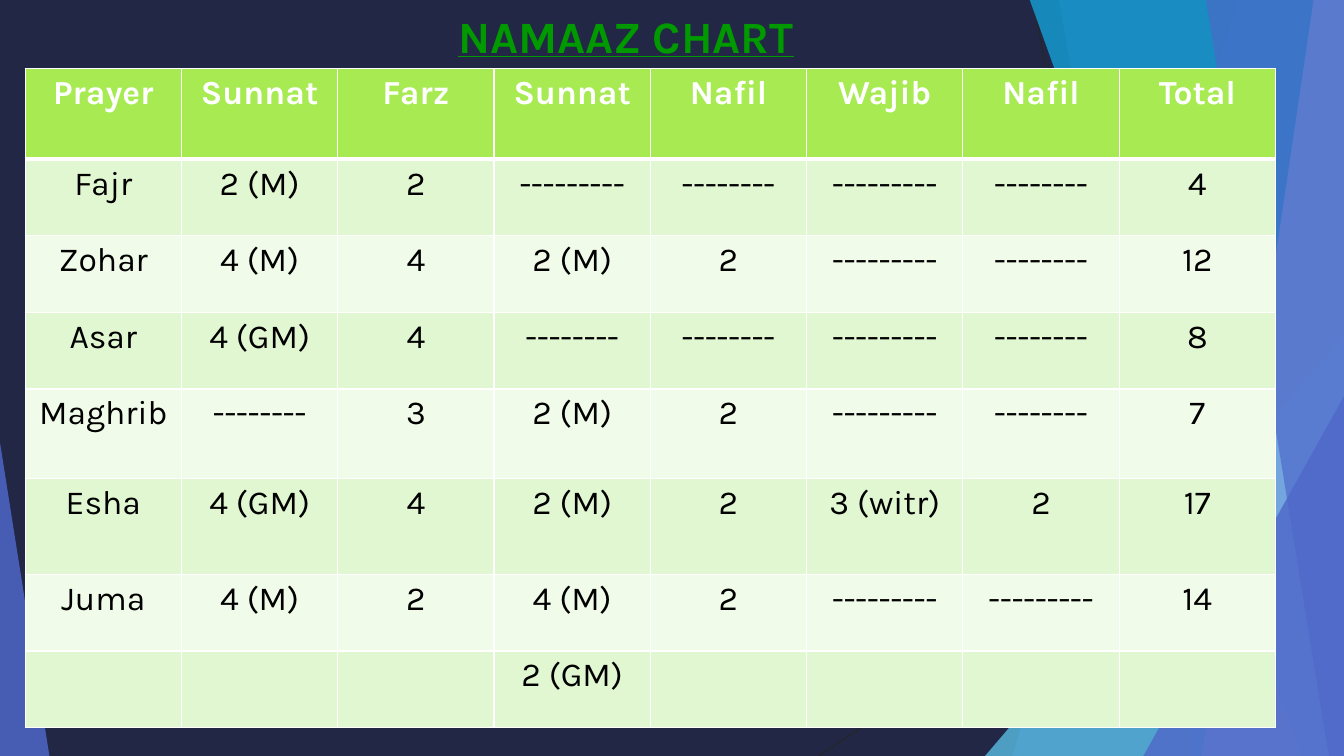
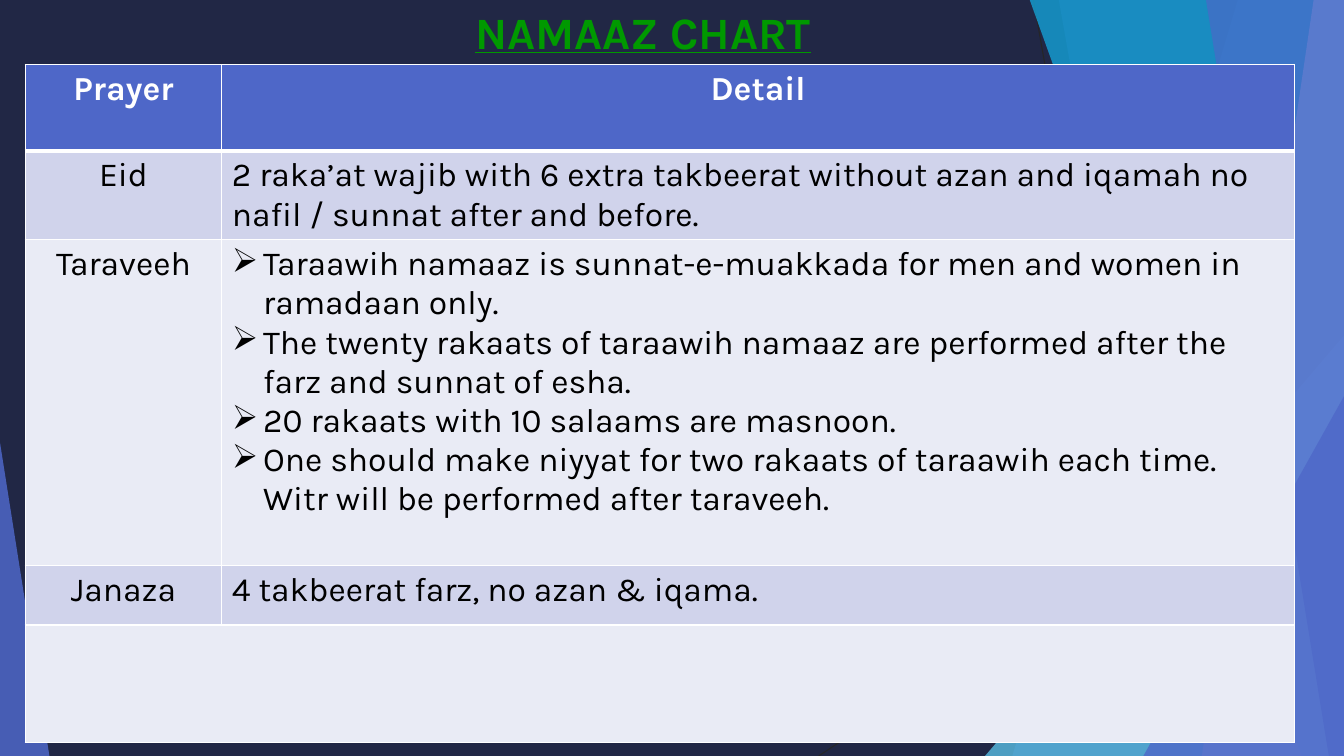
from dataclasses import dataclass

from lxml import etree
from pptx import Presentation
from pptx.dml.color import RGBColor
from pptx.enum.shapes import MSO_CONNECTOR, MSO_SHAPE
from pptx.enum.text import MSO_AUTO_SIZE, PP_ALIGN
from pptx.oxml.ns import qn
from pptx.util import Inches, Pt

CENTER, LEFT = PP_ALIGN.CENTER, PP_ALIGN.LEFT
FIT_SHAPE = MSO_AUTO_SIZE.SHAPE_TO_FIT_TEXT
STRAIGHT = MSO_CONNECTOR.STRAIGHT
TRIANGLE = MSO_SHAPE.ISOSCELES_TRIANGLE


@dataclass(frozen=True)
class Theme:
    """Colours, font and type sizes of the presentation."""

    font: str = "Karla"
    title_size: int = 32
    table_size: int = 24
    background: str = "212745"
    title: str = "009900"
    white: str = "FFFFFF"
    black: str = "000000"
    hairline: str = "262626"
    blue: str = "4E67C8"
    pale_blue: str = "95A4DE"
    sky: str = "5ECCF3"
    cyan: str = "12B2EB"
    green_table: tuple = ("A7EA52", "E1F7D1", "F1FBE9")
    blue_table: tuple = ("4E67C8", "D0D3EB", "E9EBF5")


THEME = Theme()
WIDTH, HEIGHT = 13.33, 7.5
BLEED_TOP = -0.01
BULLET_INDENT = 0.31
TITLE = "NAMAAZ CHART"
SHORT_DASH, LONG_DASH = "-" * 8, "-" * 9

PRAYER_ROWS = [
    ["Prayer", "Sunnat", "Farz", "Sunnat", "Nafil", "Wajib", "Nafil", "Total"],
    ["Fajr", "2 (M)", "2", LONG_DASH, SHORT_DASH, LONG_DASH, SHORT_DASH, "4"],
    ["Zohar", "4 (M)", "4", "2 (M)", "2", LONG_DASH, SHORT_DASH, "12"],
    ["Asar", "4 (GM)", "4", SHORT_DASH, SHORT_DASH, LONG_DASH, SHORT_DASH, "8"],
    ["Maghrib", SHORT_DASH, "3", "2 (M)", "2", LONG_DASH, SHORT_DASH, "7"],
    ["Esha", "4 (GM)", "4", "2 (M)", "2", "3 (witr)", "2", "17"],
    ["Juma", "4 (M)", "2", "4 (M)", "2", LONG_DASH, LONG_DASH, "14"],
    ["", "", "", "2 (GM)", "", "", "", ""],
]

DETAIL_ROWS = [
    ["Prayer", "Detail"],
    ["Eid", "2 raka’at wajib with 6 extra takbeerat without azan and iqamah no "
            "nafil / sunnat after and before."],
    ["Taraveeh", [
        "Taraawih namaaz is sunnat-e-muakkada for men and women in ramadaan only.",
        "The twenty rakaats of taraawih namaaz are performed after the farz and "
        "sunnat of esha.",
        "20 rakaats with 10 salaams are masnoon.",
        "One should make niyyat for two rakaats of taraawih each time. Witr will "
        "be performed after taraveeh.",
    ]],
    ["Janaza", "4 takbeerat farz, no azan & iqama."],
    ["", ""],
]


def apply_format(target, values):
    """Set each named attribute of the target."""
    for name, value in values.items():
        setattr(target, name, value)


def format_font(font, size, color, **values):
    """Give a font the theme typeface, a size, a colour and other values."""
    apply_format(font, {"name": THEME.font, "size": Pt(size), **values})
    font.color.rgb = RGBColor.from_string(color)


def paint(shape, color, opacity):
    """Fill a shape with a translucent colour and no outline."""
    shape.shadow.inherit = False
    shape.line.fill.background()
    shape.fill.solid()
    shape.fill.fore_color.rgb = RGBColor.from_string(color)
    color_element = shape.element.spPr.find(f"{qn('a:solidFill')}/{qn('a:srgbClr')}")
    etree.SubElement(color_element, qn("a:alpha"), val=str(opacity * 1000))


def add_hairline(slide, start, end):
    """Draw a thin dark line between two points."""
    connector = slide.shapes.add_connector(STRAIGHT, *map(Inches, start + end))
    connector.line.color.rgb = RGBColor.from_string(THEME.hairline)
    connector.line.width = Pt(0.75)
    etree.SubElement(connector.element.spPr, qn("a:effectLst"))


def add_panel(slide, top_x, bottom_x, color, opacity):
    """Draw a full-height panel with a slanted left edge."""
    corners = [(top_x, BLEED_TOP), (WIDTH, BLEED_TOP), (WIDTH, HEIGHT), (bottom_x, HEIGHT)]
    points = [(Inches(x), Inches(y)) for x, y in corners]
    builder = slide.shapes.build_freeform(*points[0], scale=1.0)
    builder.add_line_segments(points[1:], close=True)
    paint(builder.convert_to_shape(), color, opacity)


def add_triangle(slide, left, top, width, apex, color, opacity):
    """Draw a right triangle standing on the bottom edge of the slide."""
    box = map(Inches, (left, top, width, HEIGHT - top))
    shape = slide.shapes.add_shape(TRIANGLE, *box)
    shape.adjustments[0] = apex
    paint(shape, color, opacity)


def add_backdrop(slide):
    """Draw the facets that every slide shares."""
    add_hairline(slide, (10.25, 0), (11.58, HEIGHT))
    add_hairline(slide, (WIDTH, 4.03), (8.12, HEIGHT))
    add_panel(slide, 12.28, 10.04, THEME.blue, 30)
    add_panel(slide, 10.5, 11.83, THEME.blue, 20)
    add_triangle(slide, 9.77, 3.33, 3.56, 1, THEME.sky, 72)
    add_panel(slide, 10.21, 12.91, THEME.cyan, 70)
    add_panel(slide, 13.03, 11.92, THEME.pale_blue, 70)
    add_panel(slide, 11.96, 13.18, THEME.blue, 65)
    add_triangle(slide, 11.34, 3.93, 1.99, 1, THEME.blue, 80)
    add_triangle(slide, 0, 4.39, 0.49, 0, THEME.blue, 85)


def add_title(slide, left, top, width):
    """Add the underlined slide title."""
    box = slide.shapes.add_textbox(*map(Inches, (left, top, width, 0.72)))
    apply_format(box.text_frame, {"word_wrap": True, "auto_size": FIT_SHAPE})
    paragraph = box.text_frame.paragraphs[0]
    apply_format(paragraph, {"alignment": CENTER, "line_spacing": 1.15, "space_after": Pt(10)})
    run = paragraph.add_run()
    run.text = TITLE
    format_font(run.font, THEME.title_size, THEME.title, bold=True, underline=True)


def add_bullet(paragraph):
    """Give a paragraph an arrow bullet and a hanging indent."""
    properties = paragraph._p.get_or_add_pPr()
    indent = Inches(BULLET_INDENT)
    properties.set("marL", str(indent))
    properties.set("indent", str(-indent))
    etree.SubElement(properties, qn("a:buChar"), char="➢")


def set_borders(cell, row_index):
    """Give a cell white borders, thicker below the header row."""
    widths = {"L": 1, "R": 1, "T": 3 if row_index == 1 else 1, "B": 3 if row_index == 0 else 1}
    properties = cell._tc.get_or_add_tcPr()
    for side, width in widths.items():
        border = etree.SubElement(properties, qn(f"a:ln{side}"), w=str(Pt(width)))
        fill = etree.SubElement(border, qn("a:solidFill"))
        etree.SubElement(fill, qn("a:srgbClr"), val=THEME.white)


def fill_cell(cell, content, row_index, palette, alignment):
    """Write text or a bulleted list into a cell and style it."""
    set_borders(cell, row_index)
    header, odd, even = palette
    is_header = row_index == 0
    cell.fill.solid()
    color = header if is_header else odd if row_index % 2 else even
    cell.fill.fore_color.rgb = RGBColor.from_string(color)
    bulleted = isinstance(content, list)
    lines = content if bulleted else [content]
    cell.text = "\n".join(lines)
    for paragraph in cell.text_frame.paragraphs:
        paragraph.alignment = alignment
        if bulleted:
            add_bullet(paragraph)
        for run in paragraph.runs:
            text_color = THEME.white if is_header else THEME.black
            format_font(run.font, THEME.table_size, text_color, bold=is_header)


def add_table(slide, top, widths, heights, rows, palette, body_alignments):
    """Add a banded table and return it."""
    box = map(Inches, (0.25, top, sum(widths), sum(heights)))
    table = slide.shapes.add_table(len(rows), len(widths), *box).table
    apply_format(table, {"first_row": False, "horz_banding": False})
    for column, width in zip(table.columns, widths):
        column.width = Inches(width)
    for row_index, (contents, height) in enumerate(zip(rows, heights)):
        table.rows[row_index].height = Inches(height)
        for column_index, content in enumerate(contents):
            alignment = body_alignments[column_index] if row_index else CENTER
            fill_cell(table.cell(row_index, column_index), content, row_index, palette, alignment)
    return table


def add_slide(presentation):
    """Add a blank slide with the shared backdrop."""
    slide = presentation.slides.add_slide(presentation.slide_layouts[6])
    add_backdrop(slide)
    return slide


def add_prayer_slide(presentation):
    """Build the slide that counts the units of each prayer."""
    slide = add_slide(presentation)
    heights = [0.9, 0.76, 0.76, 0.76, 0.89, 0.95, 0.76, 0.76]
    add_table(slide, 0.68, [1.55] * 8, heights, PRAYER_ROWS, THEME.green_table, [CENTER] * 8)
    add_title(slide, 4.42, -0.04, 3.58)


def add_detail_slide(presentation):
    """Build the slide that describes the special prayers."""
    slide = add_slide(presentation)
    heights = [0.86, 0.88, 3.23, 0.59, 1.17]
    table = add_table(slide, 0.64, [1.95, 10.64], heights, DETAIL_ROWS,
                      THEME.blue_table, [CENTER, LEFT])
    last_row = len(DETAIL_ROWS) - 1
    table.cell(last_row, 0).merge(table.cell(last_row, 1))
    add_title(slide, 3.92, -0.08, 4.92)


def main():
    """Build and save the presentation."""
    presentation = Presentation()
    size = {"slide_width": Inches(WIDTH), "slide_height": Inches(HEIGHT)}
    apply_format(presentation, size)
    background = presentation.slide_master.background.fill
    background.solid()
    background.fore_color.rgb = RGBColor.from_string(THEME.background)
    add_prayer_slide(presentation)
    add_detail_slide(presentation)
    presentation.save("out.pptx")


if __name__ == "__main__":
    main()
